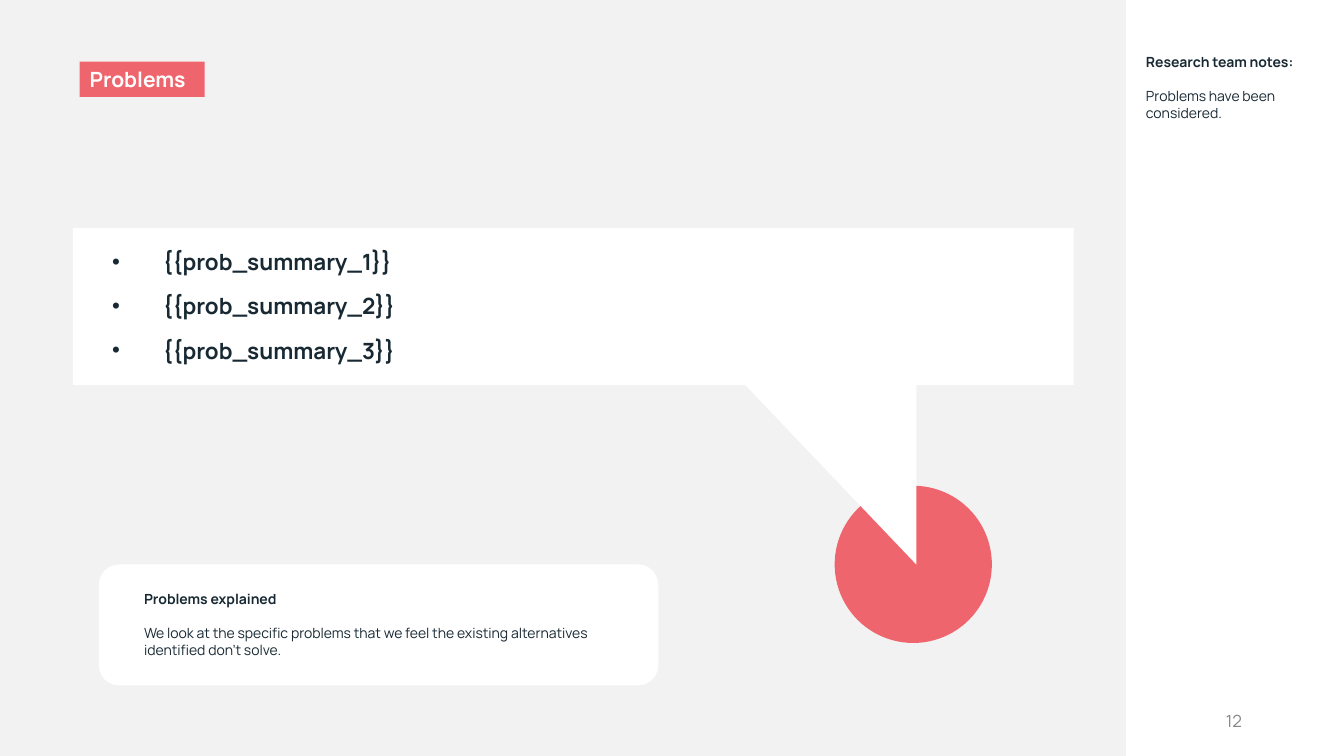
from lxml import etree
from pptx import Presentation
from pptx.dml.color import RGBColor
from pptx.enum.shapes import MSO_SHAPE
from pptx.enum.text import MSO_ANCHOR, MSO_AUTO_SIZE, PP_ALIGN
from pptx.oxml.ns import qn
from pptx.util import Pt

RECT, ROUND, OVAL = MSO_SHAPE.RECTANGLE, MSO_SHAPE.ROUNDED_RECTANGLE, MSO_SHAPE.OVAL
TOP, MIDDLE = MSO_ANCHOR.TOP, MSO_ANCHOR.MIDDLE
LEFT, RIGHT = PP_ALIGN.LEFT, PP_ALIGN.RIGHT
NO_FIT = MSO_AUTO_SIZE.NONE

FONT = "Manrope"
WHITE, CORAL, INK, GREY, PAPER = "FFFFFF", "EF656D", "182933", "888888", "F2F2F2"
GAP = 12.5


def rgb(hex_colour):
    return RGBColor.from_string(hex_colour)


def paint(sp, colour):
    sp.fill.solid()
    sp.fill.fore_color.rgb = rgb(colour)


def place(sp, box):
    for name, value in zip(("left", "top", "width", "height"), box):
        setattr(sp, name, Pt(value))


def add_plain(s, kind, box, colour):
    sp = s.shapes.add_shape(kind, *map(Pt, box))
    finish(sp, colour)
    return sp


def finish(sp, colour):
    """Flat fill with neither outline nor shadow."""
    sp.shadow.inherit = False
    sp.line.fill.background()
    paint(sp, colour)


def add_bullet(p, colour, indent):
    pPr = p._p.get_or_add_pPr()
    pPr.set("marL", str(Pt(indent)))
    pPr.set("indent", str(-Pt(indent)))
    clr = etree.SubElement(pPr, qn("a:buClr"))
    etree.SubElement(clr, qn("a:srgbClr"), val=colour)
    etree.SubElement(pPr, qn("a:buChar"), char="•")


def write(sp, lines, size, colour, insets, align=LEFT, anchor=TOP, bullets=False):
    """Fill a shape with (text, bold) paragraphs."""
    tf = sp.text_frame
    across, above, below = insets
    frame = {"word_wrap": True, "auto_size": NO_FIT, "vertical_anchor": anchor,
             "margin_left": Pt(across), "margin_right": Pt(across),
             "margin_top": Pt(above), "margin_bottom": Pt(below)}
    for name, value in frame.items():
        setattr(tf, name, value)
    for i, (text, bold) in enumerate(lines):
        p = tf.add_paragraph() if i else tf.paragraphs[0]
        if bullets:
            add_bullet(p, colour, 36)
        spacing = {"alignment": align, "line_spacing": 1.0,
                   "space_before": Pt(GAP if i else 0), "space_after": Pt(0)}
        for name, value in spacing.items():
            setattr(p, name, value)
        r = p.add_run()
        r.text = text
        for name, value in {"name": FONT, "size": Pt(size), "bold": bold}.items():
            setattr(r.font, name, value)
        r.font.color.rgb = rgb(colour)


def add_pointer(s, points, colour):
    start, *rest = [(Pt(x), Pt(y)) for x, y in points]
    builder = s.shapes.build_freeform(*start)
    builder.add_line_segments(rest, close=True)
    finish(builder.convert_to_shape(), colour)


def main():
    prs = Presentation()
    prs.slide_width, prs.slide_height = Pt(960), Pt(540)
    s = prs.slides.add_slide(prs.slide_layouts[1])
    paint(s.background, PAPER)

    title = s.shapes.title
    place(title, (56.9, 44, 89.3, 25.2))
    paint(title, CORAL)
    write(title, [("Problems", True)], 15, WHITE, (7.2, 3.6, 3.6))

    summary = s.placeholders[1]
    place(summary, (52, 162.7, 715, 112.3))
    paint(summary, WHITE)
    problems = [(f"{{{{prob_summary_{n}}}}}", True) for n in range(1, 4)]
    write(summary, problems, 16, INK, (28.1, 14.4, 14.4), bullets=True)

    notes = add_plain(s, RECT, (804.2, -0.7, 155.8, 540.7), WHITE)
    write(notes, [("Research team notes:", True),
                  ("Problems have been considered.", False)],
          10, INK, (14.4, 38.9, 14.4))

    number = s.shapes.add_textbox(*map(Pt, (678.2, 500.4, 216, 28.8)))
    write(number, [("12", False)], 12, GREY, (7.2, 3.6, 3.6), RIGHT, MIDDLE)

    add_plain(s, OVAL, (596.2, 347, 112.3, 112.3), CORAL)
    add_pointer(s, [(654.5, 249.8), (508.3, 249.8), (654.5, 403.2)], WHITE)

    card = add_plain(s, ROUND, (70.6, 403.2, 399.6, 86.4), WHITE)
    write(card, [("Problems explained", True),
                 ("We look at the specific problems that we feel the existing "
                  "alternatives identified don’t solve.", False)],
          10, INK, (28.1, 14.4, 14.4))

    prs.save("out.pptx")


if __name__ == "__main__":
    main()
